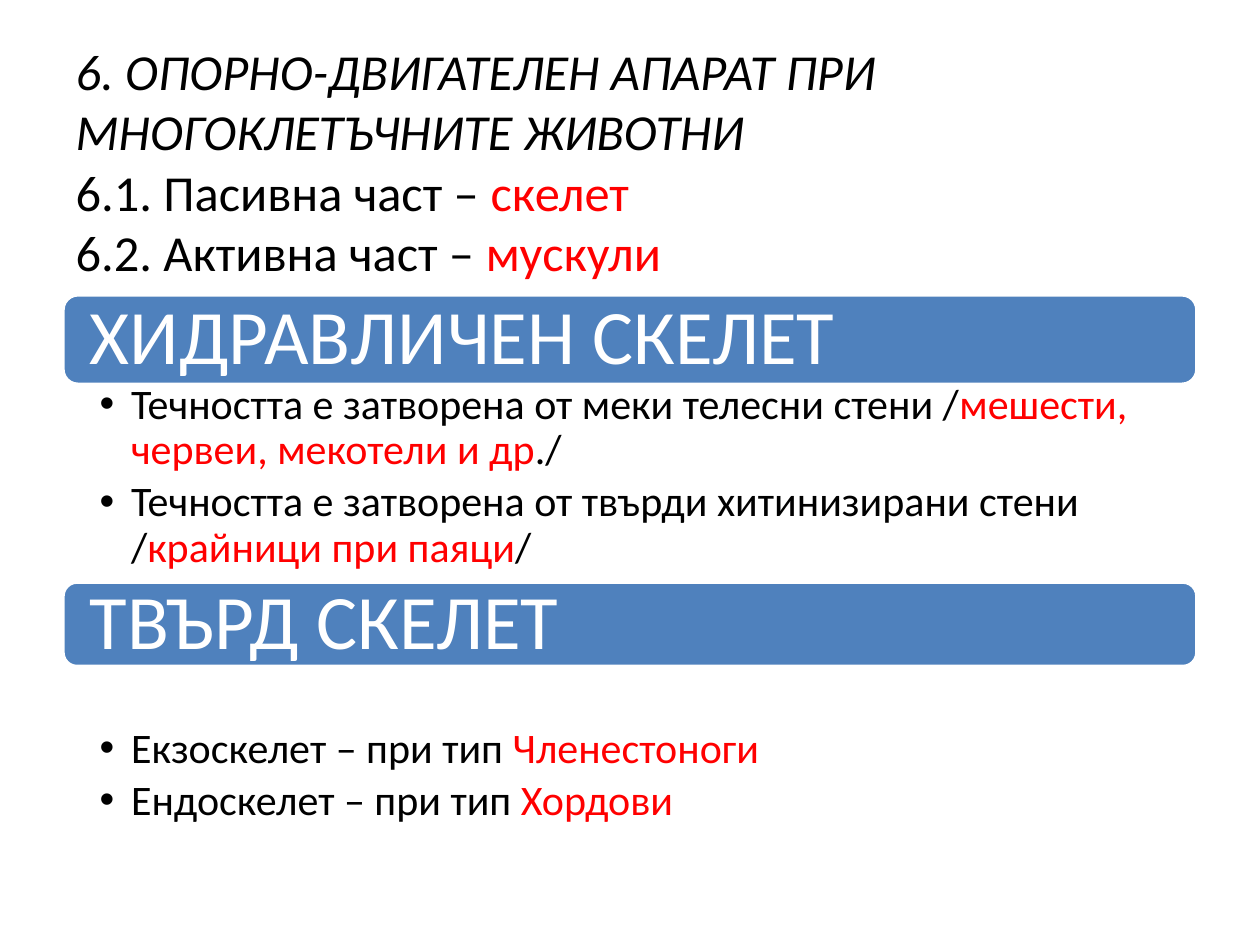
from dataclasses import dataclass

from lxml import etree
from pptx import Presentation
from pptx.dml.color import RGBColor
from pptx.enum import shapes, text
from pptx.oxml.ns import qn
from pptx.util import Inches, Pt


@dataclass(frozen=True)
class Theme:
    """Colours, font and type sizes of the slide."""
    ink: str = "000000"
    mark: str = "FF0000"
    bar: str = "4F81BD"
    pale: str = "FFFFFF"
    font: str = "Calibri"
    title: float = 28.8
    head: float = 44
    item: float = 24


THEME = Theme()


def apply(target, values):
    """Set each named attribute of the target."""
    for name, value in values.items():
        setattr(target, name, value)


def place(shape, box):
    """Move a shape to a box given in inches."""
    names = ("left", "top", "width", "height")
    apply(shape, dict(zip(names, map(Inches, box))))


def add_run(para, words, size, color, italic=False):
    """Append a formatted run to a paragraph."""
    run = para.add_run()
    run.text = words
    apply(run.font, {"name": THEME.font, "size": Pt(size), "italic": italic})
    run.font.color.rgb = RGBColor.from_string(color)


def set_frame(frame, anchor, sides):
    """Set wrapping, anchor and the left, top, right and bottom insets."""
    names = ("margin_left", "margin_top", "margin_right", "margin_bottom")
    apply(frame, dict(zip(names, map(Inches, sides))))
    apply(frame, {"word_wrap": True, "auto_size": text.MSO_AUTO_SIZE.NONE,
                  "vertical_anchor": anchor})


def fill_title(shape, box, lines):
    """Write the title, one broken line for each list of runs."""
    place(shape, box)
    set_frame(shape.text_frame, text.MSO_ANCHOR.MIDDLE, (0.1, 0.05, 0.1, 0.05))
    para = shape.text_frame.paragraphs[0]
    para.alignment = text.PP_ALIGN.LEFT
    for row, runs in enumerate(lines):
        if row:
            para.add_line_break()
        for words, color in runs:
            add_run(para, words, THEME.title, color, italic=row == 0)


def add_bar(slide, box, words):
    """Draw a rounded heading bar with its text."""
    bar = slide.shapes.add_shape(
        shapes.MSO_SHAPE.ROUNDED_RECTANGLE, *map(Inches, box))
    bar.shadow.inherit = False
    bar.fill.solid()
    bar.fill.fore_color.rgb = RGBColor.from_string(THEME.bar)
    bar.line.color.rgb = RGBColor.from_string(THEME.pale)
    bar.line.width = Pt(2)
    set_frame(bar.text_frame, text.MSO_ANCHOR.MIDDLE, (0.18, 0, 0.18, 0))
    para = bar.text_frame.paragraphs[0]
    apply(para, {"alignment": text.PP_ALIGN.LEFT, "line_spacing": 0.9})
    add_run(para, words, THEME.head, THEME.pale)


def fill_list(shape, box, inset, items):
    """Write bulleted items that start at the given top inset."""
    place(shape, box)
    frame = shape.text_frame
    set_frame(frame, text.MSO_ANCHOR.TOP, (0.29, inset, 0.19, 0.03))
    for row, runs in enumerate(items):
        para = frame.add_paragraph() if row else frame.paragraphs[0]
        apply(para, {"line_spacing": 0.9, "space_before": Pt(0),
                     "space_after": Pt(4)})
        props = para._p.get_or_add_pPr()
        props.set("marL", str(Inches(0.25)))
        props.set("indent", str(-Inches(0.25)))
        etree.SubElement(props, qn("a:buChar")).set("char", "•")
        for words, color in runs:
            add_run(para, words, THEME.item, color)


def build():
    """Build the slide about the skeleton and save it."""
    deck = Presentation()
    apply(deck, {"slide_width": Inches(10), "slide_height": Inches(7.5)})
    slide = deck.slides.add_slide(deck.slide_layouts.get_by_name("Two Content"))
    holders = {p.placeholder_format.idx: p for p in slide.placeholders}
    ink, mark = THEME.ink, THEME.mark
    left, width = 0.5, 9

    fill_title(holders[0], (left, 0.3, width, 1.95), [
        [("6. ОПОРНО-ДВИГАТЕЛЕН АПАРАТ ПРИ МНОГОКЛЕТЪЧНИТЕ ЖИВОТНИ ", ink)],
        [("6.1. Пасивна част – ", ink), ("скелет", mark)],
        [("6.2. Активна част – ", ink), ("мускули", mark)],
    ])
    parts = [
        ("ХИДРАВЛИЧЕН СКЕЛЕТ", 2.34, 0.71, 3.01, 1.6, 0.03, [
            [("Течността е затворена от меки телесни стени /", ink),
             ("мешести, червеи, мекотели и др", mark), ("./", ink)],
            [("Течността е затворена от твърди хитинизирани стени /", ink),
             ("крайници при паяци", mark), ("/", ink)],
        ]),
        ("ТВЪРД СКЕЛЕТ", 4.62, 0.67, 5.08, 1.93, 0.69, [
            [("Екзоскелет – при тип ", ink), ("Членестоноги", mark)],
            [("Ендоскелет – при тип ", ink), ("Хордови", mark)],
        ]),
    ]
    for idx, (head, top, high, start, depth, inset, items) in enumerate(parts, 1):
        add_bar(slide, (left, top, width, high), head)
        fill_list(holders[idx], (left, start, width, depth), inset, items)
    deck.save("out.pptx")


build()
